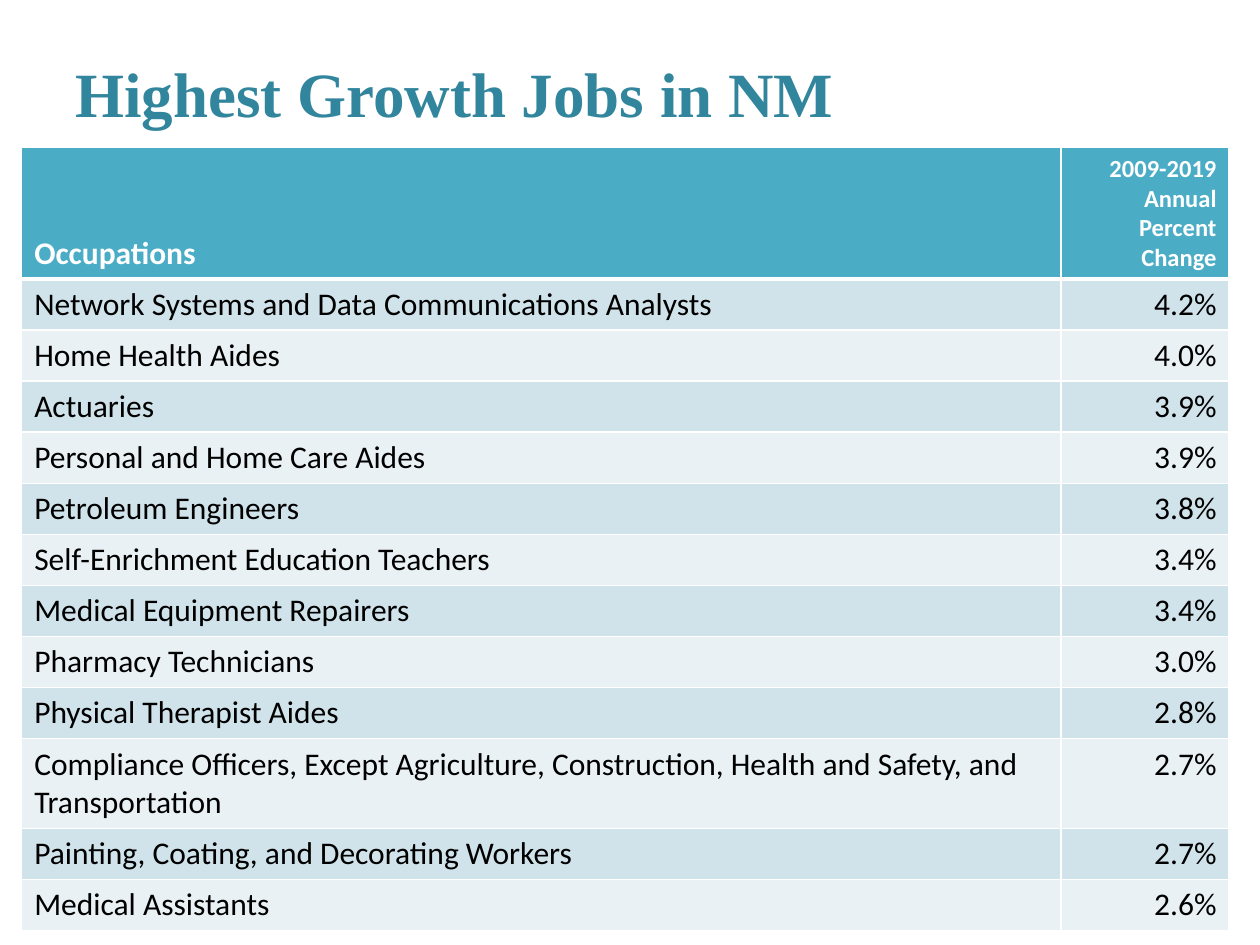
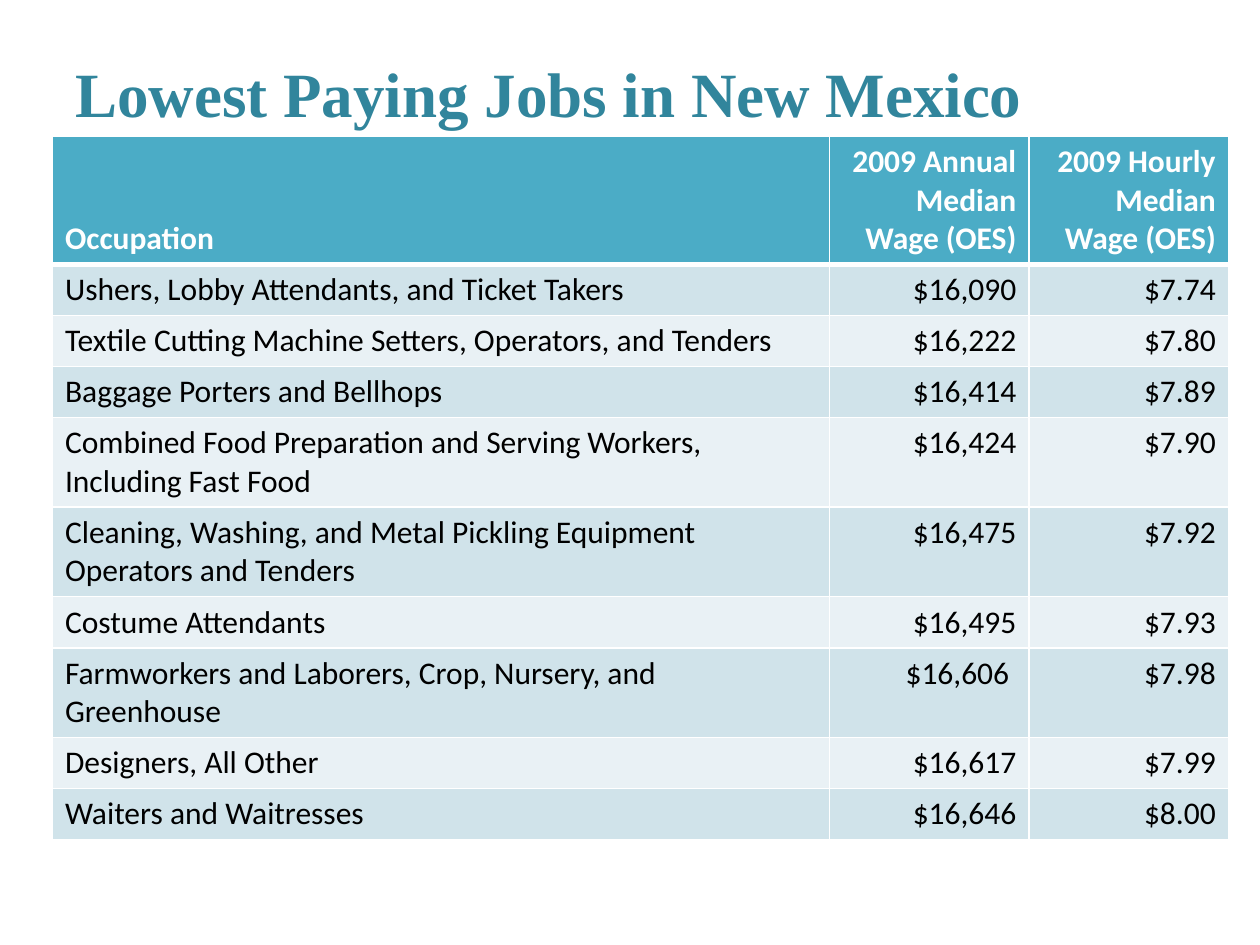
from lxml.etree import SubElement as Sub
from pptx import Presentation
from pptx.dml.color import RGBColor as Rgb
from pptx.enum.text import MSO_ANCHOR as Anchor, PP_ALIGN as Align
from pptx.oxml.ns import qn
from pptx.util import Pt

# Shared look
HUES = {
    "title": "31859C", "head": "4BACC6", "odd": "D0E3EA",
    "even": "E9F1F5", "line": "FFFFFF", "text": "000000",
}
SERIF, SANS = "Times New Roman", "Calibri"
TITLE_BOX = (36, 21.6, 648, 62.64)
ROW, LINE = 29.2, 22  # one-line row, each further line

GROWTH = [
    ("Network Systems and Data Communications Analysts", "4.2%"),
    ("Home Health Aides", "4.0%"),
    ("Actuaries", "3.9%"),
    ("Personal and Home Care Aides", "3.9%"),
    ("Petroleum Engineers", "3.8%"),
    ("Self-Enrichment Education Teachers", "3.4%"),
    ("Medical Equipment Repairers", "3.4%"),
    ("Pharmacy Technicians", "3.0%"),
    ("Physical Therapist Aides", "2.8%"),
    ("Compliance Officers, Except Agriculture, Construction, "
     "Health and Safety, and Transportation", "2.7%"),
    ("Painting, Coating, and Decorating Workers", "2.7%"),
    ("Medical Assistants", "2.6%"),
]
WAGES = [
    ("Ushers, Lobby Attendants, and Ticket Takers", "$16,090", "$7.74"),
    ("Textile Cutting Machine Setters, Operators, and Tenders",
     "$16,222", "$7.80"),
    ("Baggage Porters and Bellhops", "$16,414", "$7.89"),
    ("Combined Food Preparation and Serving Workers, Including Fast Food",
     "$16,424", "$7.90"),
    ("Cleaning, Washing, and Metal Pickling Equipment Operators and Tenders",
     "$16,475", "$7.92"),
    ("Costume Attendants", "$16,495", "$7.93"),
    ("Farmworkers and Laborers, Crop, Nursery, and Greenhouse",
     "$16,606 ", "$7.98"),
    ("Designers, All Other", "$16,617", "$7.99"),
    ("Waiters and Waitresses", "$16,646", "$8.00"),
]


def add_run(para, text, size, hue, face=SANS, bold=False):
    run = para.add_run()
    run.text = text
    font = run.font
    font.name, font.size, font.bold = face, Pt(size), bold
    font.color.rgb = Rgb.from_string(HUES[hue])


def add_title(slide, text, box):
    frame = slide.shapes.add_textbox(*map(Pt, box)).text_frame
    frame.word_wrap = True
    frame.vertical_anchor = Anchor.MIDDLE
    add_run(frame.paragraphs[0], text, 36, "title", SERIF, True)


def set_lines(cell, top, bottom):
    props = cell._tc.get_or_add_tcPr()
    for side, width in (("L", 1), ("R", 1), ("T", top), ("B", bottom)):
        line = Sub(props, qn(f"a:ln{side}"), w=str(Pt(width)))
        Sub(Sub(line, qn("a:solidFill")), qn("a:srgbClr"), val=HUES["line"])


def add_table(slide, rows, box, cols, heights, sizes):
    """Place rows at box (left, top); sizes are those of the header cells."""
    frame = slide.shapes.add_table(
        len(rows), len(cols), *map(Pt, (*box, sum(cols), sum(heights))))
    table = frame.table
    for col, width in zip(table.columns, cols):
        col.width = Pt(width)
    for r, (row, height) in enumerate(zip(rows, heights)):
        table.rows[r].height = Pt(height)
        head = r == 0
        fill = "head" if head else "odd" if r % 2 else "even"
        for c, text in enumerate(row):
            cell = table.cell(r, c)
            # A thick rule parts the header from the body
            set_lines(cell, 3 if r == 1 else 1, 3 if head else 1)
            cell.fill.solid()
            cell.fill.fore_color.rgb = Rgb.from_string(HUES[fill])
            cell.vertical_anchor = Anchor.BOTTOM if head else Anchor.TOP
            para = cell.text_frame.paragraphs[0]
            para.alignment = Align.RIGHT if c else Align.LEFT
            add_run(para, text, sizes[c] if head else 18,
                    "line" if head else "text", bold=head)


def add_page(deck, title, head, body, box, cols, top, tall, sizes):
    """Build a titled table slide; tall lists the two-line body rows."""
    slide = deck.slides.add_slide(deck.slide_layouts[6])
    add_title(slide, title, TITLE_BOX)
    heights = [top] + [ROW + LINE * (n in tall)
                       for n in range(1, len(body) + 1)]
    add_table(slide, [head, *body], box, cols, heights, sizes)


def main():
    deck = Presentation()
    deck.slide_width, deck.slide_height = Pt(720), Pt(540)
    add_page(deck, "Highest Growth Jobs in NM",
             ("Occupations", "2009-2019 Annual Percent Change"), GROWTH,
             (12.4, 84.4), (594, 96), 75, {10}, (18, 14))
    add_page(deck, "Lowest Paying Jobs in New Mexico",
             ("Occupation", "2009 Annual Median Wage (OES)",
              "2009 Hourly Median Wage (OES)"), WAGES,
             (30, 78), (444, 114, 114), 73, {4, 5, 7}, (18, 18, 18))
    deck.save("out.pptx")


if __name__ == "__main__":
    main()
